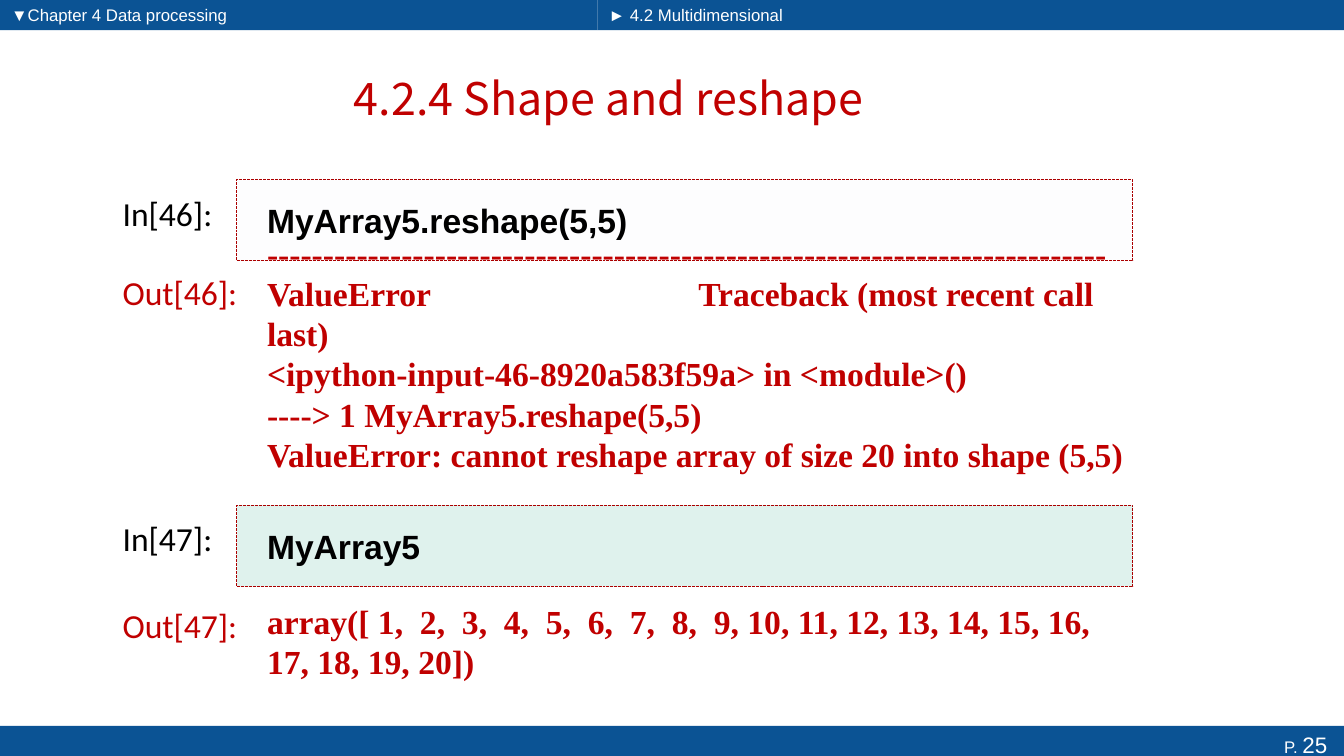
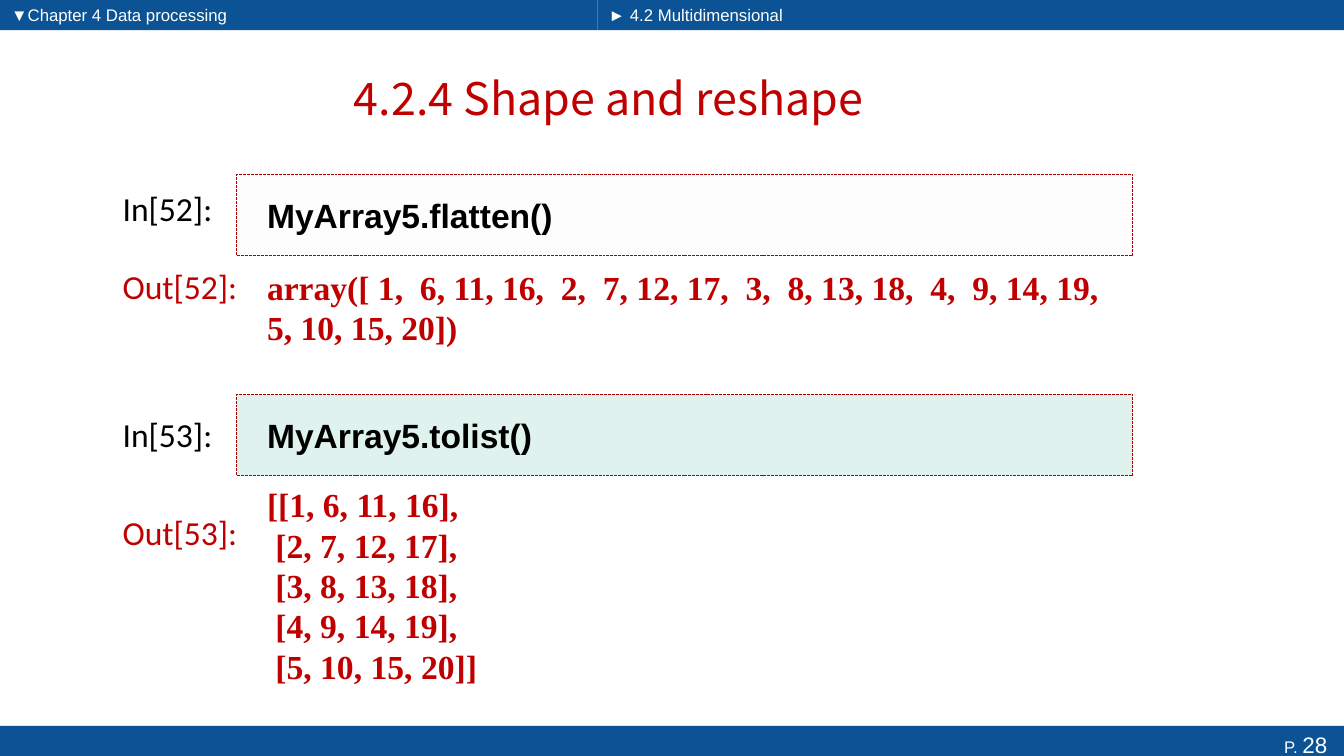
"""Build two slides on array shape and reshape with notebook-style cells."""
import pptx
import pptx.dml.color
import pptx.enum.dml
import pptx.enum.shapes
import pptx.enum.text
import pptx.oxml.ns
import pptx.util
from lxml import etree

Cm, Pt = pptx.util.Cm, pptx.util.Pt
ALIGN = pptx.enum.text.PP_ALIGN
ANCHOR = pptx.enum.text.MSO_ANCHOR
COLORS = {"band": "0B5394", "white": "FFFFFF", "black": "000000", "red": "C00000",
          "border": "AB0000", "gray": "FDFDFE", "green": "DFF2ED"}
WIDTH, HEIGHT = 33.87, 19.05
BAND_H, SPLIT = 0.76, 15.06
LABEL_X, CELL_X, CELL_W, CELL_H = 2.84, 5.97, 22.58, 2.05
CELL_INSETS = (0.76, 0.13, 0.25, 0.13)
TRACEBACK_TAB = 10.87

SLIDES = [
    {"page": "25", "cells": [
        {"n": 46, "in": (4.72, 4.52, "gray", "MyArray5.reshape(5,5)"),
         "out": (6.71, 6.48, 23.1, 4.85, [
             "-" * 75,
             "ValueError\tTraceback (most recent call last)",
             "<ipython-input-46-8920a583f59a> in <module>()",
             "----> 1 MyArray5.reshape(5,5)",
             "ValueError: cannot reshape array of size 20 into shape (5,5)"])},
        {"n": 47, "in": (12.93, 12.73, "green", "MyArray5"),
         "out": (15.11, 14.96, 22.2, 2.39, [
             "array([ 1,  2,  3,  4,  5,  6,  7,  8,  9, 10, 11, 12, 13, 14, 15, 16, "
             "17, 18, 19, 20])"])}]},
    {"page": "28", "cells": [
        {"n": 52, "in": (4.6, 4.39, "gray", "MyArray5.flatten()"),
         "out": (6.58, 6.35, 22.2, 2.77, [
             "array([ 1,  6, 11, 16,  2,  7, 12, 17,  3,  8, 13, 18,  4,  9, 14, 19,  "
             "5, 10, 15, 20])"])},
        {"n": 53, "in": (10.31, 9.93, "green", "MyArray5.tolist()"),
         "out": (12.78, 12.37, 22.2, 4.75, [
             "[[1, 6, 11, 16],", " [2, 7, 12, 17],", " [3, 8, 13, 18],",
             " [4, 9, 14, 19],", " [5, 10, 15, 20]]"])}]},
]


def add_rect(s, x, y, w, h, fill, line=None):
    sp = s.shapes.add_shape(pptx.enum.shapes.MSO_SHAPE.RECTANGLE, Cm(x), Cm(y), Cm(w), Cm(h))
    sp.shadow.inherit = False
    sp.fill.solid()
    sp.fill.fore_color.rgb = pptx.dml.color.RGBColor.from_string(COLORS[fill])
    if line:
        sp.line.color.rgb = pptx.dml.color.RGBColor.from_string(COLORS[line])
        sp.line.width = Pt(0.7)
        sp.line.dash_style = pptx.enum.dml.MSO_LINE.SQUARE_DOT
    else:
        sp.line.fill.background()
    return sp


def write(sp, lines, font, color, bold=False, align=ALIGN.LEFT, anchor=ANCHOR.MIDDLE,
          insets=(0.25, 0.13, 0.25, 0.13), wrap=True):
    tf = sp.text_frame
    tf.word_wrap = wrap
    tf.vertical_anchor = anchor
    tf.margin_left, tf.margin_top, tf.margin_right, tf.margin_bottom = map(Cm, insets)
    for i, runs in enumerate(lines):
        p = tf.paragraphs[0] if i == 0 else tf.add_paragraph()
        p.alignment = align
        for text, size in runs:
            if "\t" in text:
                tabs = etree.SubElement(p._p.get_or_add_pPr(), pptx.oxml.ns.qn("a:tabLst"))
                etree.SubElement(tabs, pptx.oxml.ns.qn("a:tab"),
                                 pos=str(Cm(TRACEBACK_TAB)), algn="l")
            r = p.add_run()
            r.text = text
            r.font.name, r.font.size, r.font.bold = font, Pt(size), bold
            r.font.color.rgb = pptx.dml.color.RGBColor.from_string(COLORS[color])


prs = pptx.Presentation()
prs.slide_width, prs.slide_height = Cm(WIDTH), Cm(HEIGHT)

for slide in SLIDES:
    s = prs.slides.add_slide(prs.slide_layouts[6])

    for x, w, text in [(0, SPLIT, "▼Chapter 4 Data processing"),
                       (SPLIT, WIDTH - SPLIT, "► 4.2 Multidimensional")]:
        band = add_rect(s, x, 0, w, BAND_H, "band")
        write(band, [[(text, 12)]], "Arial", "white", insets=(0.28, 0, 0.25, 0))
    footer = add_rect(s, 0, HEIGHT - BAND_H, WIDTH, BAND_H, "band")
    write(footer, [[("P. ", 12), (slide["page"], 16)]], "Arial", "white",
          align=ALIGN.RIGHT, anchor=ANCHOR.TOP, insets=(0.25, 0.13, 0.42, 0))

    title = s.shapes.add_textbox(Cm(1.73), Cm(1.32), Cm(27.23), Cm(2.29))
    write(title, [[("4.2.4 Shape and reshape", 32)]], "Noto Sans CJK SC", "red",
          align=ALIGN.CENTER)

    for cell in slide["cells"]:
        in_label_y, code_y, fill, code = cell["in"]
        out_label_y, out_y, out_w, out_h, output = cell["out"]
        for kind, y, color in [("In", in_label_y, "black"), ("Out", out_label_y, "red")]:
            label = s.shapes.add_textbox(Cm(LABEL_X), Cm(y), Cm(3.9), Cm(1.28))
            write(label, [[(f"{kind}[{cell['n']}]:", 24)]], "Calibri", color,
                  anchor=ANCHOR.TOP, wrap=False)
        box = add_rect(s, CELL_X, code_y, CELL_W, CELL_H, fill, "border")
        write(box, [[(code, 24)]], "Arial", "black", bold=True, insets=CELL_INSETS)
        result = s.shapes.add_textbox(Cm(CELL_X), Cm(out_y), Cm(out_w), Cm(out_h))
        write(result, [[(text, 24)] for text in output], "Times New Roman", "red",
              bold=True, insets=CELL_INSETS)

prs.save("out.pptx")
